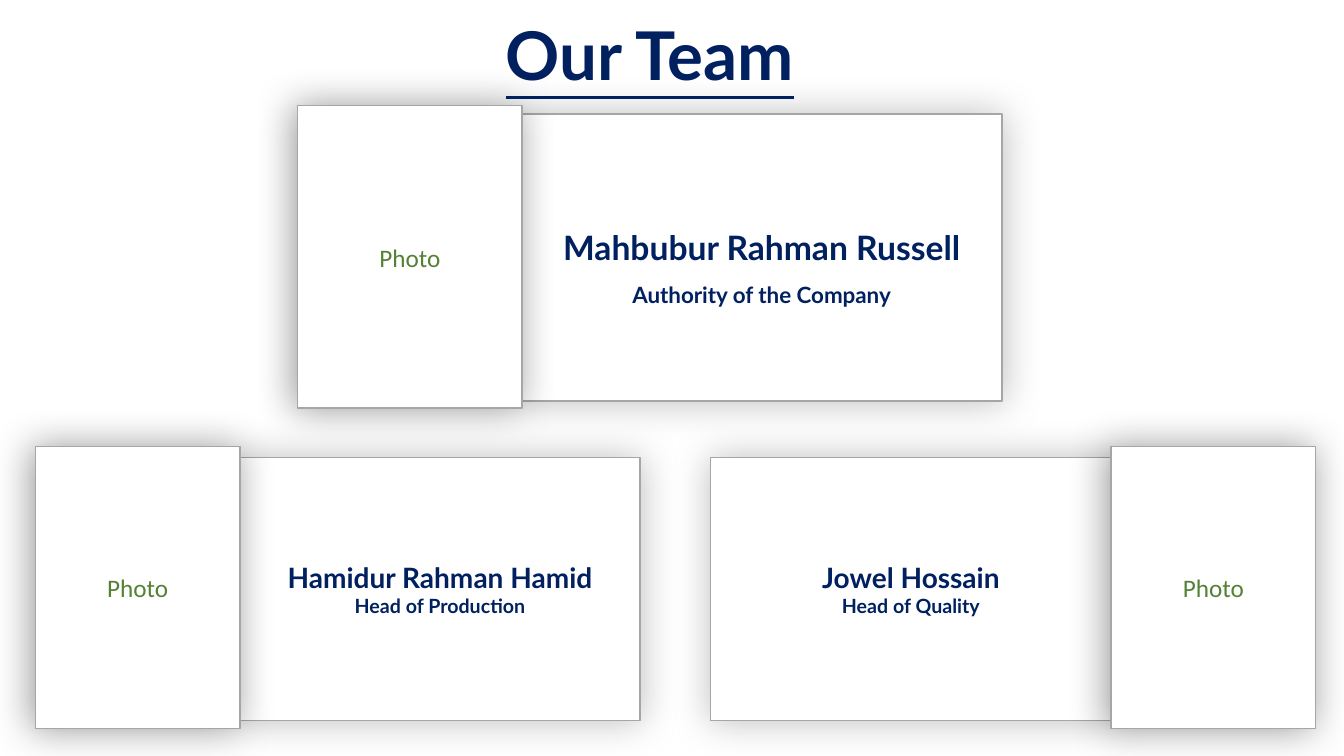
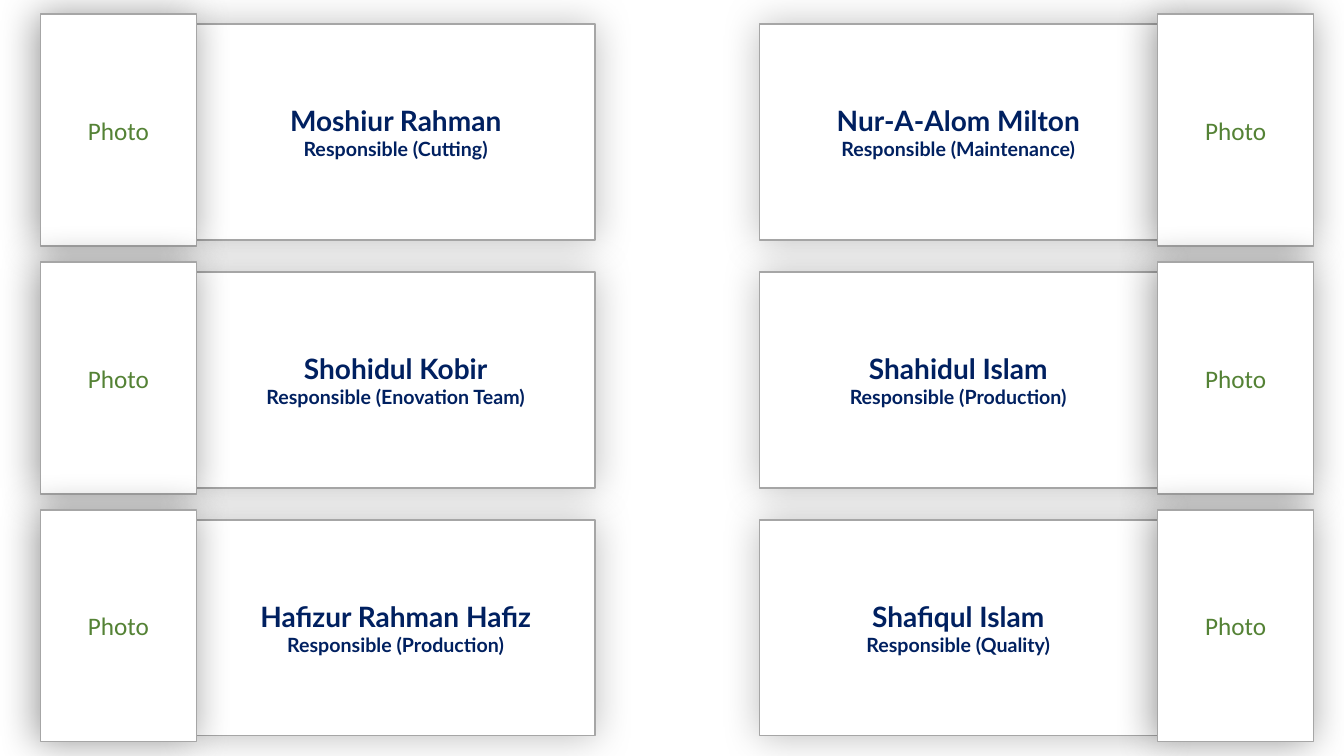
import dataclasses

import lxml.etree
import pptx
import pptx.dml.color
import pptx.enum.shapes
import pptx.enum.text
import pptx.oxml
import pptx.oxml.ns
import pptx.util

Inches = pptx.util.Inches
Pt = pptx.util.Pt


@dataclasses.dataclass(frozen=True)
class Theme:
    """Hold the shared colours, fonts, type sizes and shadows."""
    navy: str = "002060"
    green: str = "548235"
    white: str = "FFFFFF"
    border: str = "A6A6A6"
    shadow: str = "000000"
    heading_font: str = "Lato"
    photo_font: str = "Calibri"
    title_size: int = 48
    photo_size: int = 18
    lead_sizes: tuple = (24, 16)
    member_sizes: tuple = (20, 14)
    blur: int = 28
    card_alpha: int = 25
    photo_alpha: int = 40
    photo_shift: int = 3


THEME = Theme()

LEADS = [
    ("Hamidur Rahman Hamid", "Head of Production"),
    ("Jowel Hossain", "Head of Quality"),
]
MEMBERS = [
    ("Moshiur Rahman", "Responsible (Cutting)"),
    ("Nur-A-Alom Milton", "Responsible (Maintenance)"),
    ("Shohidul Kobir", "Responsible (Enovation Team)"),
    ("Shahidul Islam", "Responsible (Production)"),
    ("Hafizur Rahman Hafiz", "Responsible (Production)"),
    ("Shafiqul Islam", "Responsible (Quality)"),
]


def rgb(value):
    """Return a colour object for a hex value."""
    return pptx.dml.color.RGBColor.from_string(value)


def style_paragraph(p, text, size, color, font, bold=False):
    """Write one centred paragraph in a single style."""
    p.text = text
    p.alignment = pptx.enum.text.PP_ALIGN.CENTER
    p.font.size = Pt(size)
    p.font.name = font
    p.font.bold = bold
    p.font.color.rgb = rgb(color)


def add_shadow(sp, alpha, shift=0):
    """Give a shape a soft shadow, shifted to the left by some points."""
    sp.shadow.inherit = False
    effects = sp._element.spPr.find(pptx.oxml.ns.qn("a:effectLst"))
    outer = lxml.etree.SubElement(
        effects, pptx.oxml.ns.qn("a:outerShdw"), blurRad=str(Pt(THEME.blur)),
        dist=str(Pt(shift)), dir="10800000", algn="ctr", rotWithShape="0")
    color = lxml.etree.SubElement(
        outer, pptx.oxml.ns.qn("a:srgbClr"), val=THEME.shadow)
    lxml.etree.SubElement(
        color, pptx.oxml.ns.qn("a:alpha"), val=str(alpha * 1000))


def add_panel(group, x, y, w, h):
    """Add a white bordered rectangle to a group."""
    sp = group.shapes.add_shape(
        pptx.enum.shapes.MSO_SHAPE.RECTANGLE,
        Inches(x), Inches(y), Inches(w), Inches(h))
    sp.fill.solid()
    sp.fill.fore_color.rgb = rgb(THEME.white)
    sp.line.color.rgb = rgb(THEME.border)
    sp.line.width = Pt(1)
    sp.text_frame.word_wrap = True
    sp.text_frame.vertical_anchor = pptx.enum.text.MSO_ANCHOR.MIDDLE
    return sp


def add_profile(s, person, card, photo, sizes=THEME.member_sizes, spacing=None):
    """Add a name card with its photo frame as one group."""
    group = s.shapes.add_group_shape()
    sp = add_panel(group, *card)
    add_shadow(sp, THEME.card_alpha)
    tf = sp.text_frame
    for i, (text, size) in enumerate(zip(person, sizes)):
        p = tf.add_paragraph() if i else tf.paragraphs[0]
        style_paragraph(p, text, size, THEME.navy, THEME.heading_font, True)
        p.line_spacing = spacing
    frame = add_panel(group, *photo)
    add_shadow(frame, THEME.photo_alpha, THEME.photo_shift)
    style_paragraph(frame.text_frame.paragraphs[0], "Photo",
                    THEME.photo_size, THEME.green, THEME.photo_font)


def add_profile_pair(s, people, y, outer, card_size, photo_size, inset):
    """Add two profiles side by side with their photos on the outside."""
    card_w, photo_w = card_size[0], photo_size[0]
    left, right = outer
    places = [(left + photo_w, left),
              (right - photo_w - card_w, right - photo_w)]
    for person, (card_x, photo_x) in zip(people, places):
        add_profile(s, person, (card_x, y + inset, *card_size),
                    (photo_x, y, *photo_size))


def add_title(s, text):
    """Add the underlined slide title."""
    sp = s.shapes.add_textbox(
        Inches(3.23), Inches(0.08), Inches(6.43), Inches(0.89))
    sp.text_frame.word_wrap = True
    p = sp.text_frame.paragraphs[0]
    style_paragraph(p, text, THEME.title_size, THEME.navy,
                    THEME.heading_font, True)
    p.font.underline = True


def build_leaders(s):
    """Build the slide with the head of the team and two leads."""
    add_profile(s, ("Mahbubur Rahman Russell", "Authority of the Company"),
                (5.17, 1.13, 4.77, 2.85), (2.95, 1.05, 2.23, 3),
                THEME.lead_sizes, 1.5)
    add_title(s, "Our Team")
    add_profile_pair(s, LEADS, 4.43, (0.35, 13.05),
                     (3.97, 2.61), (2.03, 2.8), 0.11)


def build_members(s):
    """Build the slide with three rows of team members."""
    for row in range(3):
        add_profile_pair(s, MEMBERS[2 * row:2 * row + 2], 0.14 + 2.46 * row,
                         (0.4, 13.03), (3.95, 2.14), (1.55, 2.3), 0.1)


def main():
    """Build and save the presentation."""
    prs = pptx.Presentation()
    prs.slide_width, prs.slide_height = Inches(13.33), Inches(7.5)
    for build in (build_leaders, build_members):
        build(prs.slides.add_slide(prs.slide_layouts[6]))
    prs.save("out.pptx")


if __name__ == "__main__":
    main()
